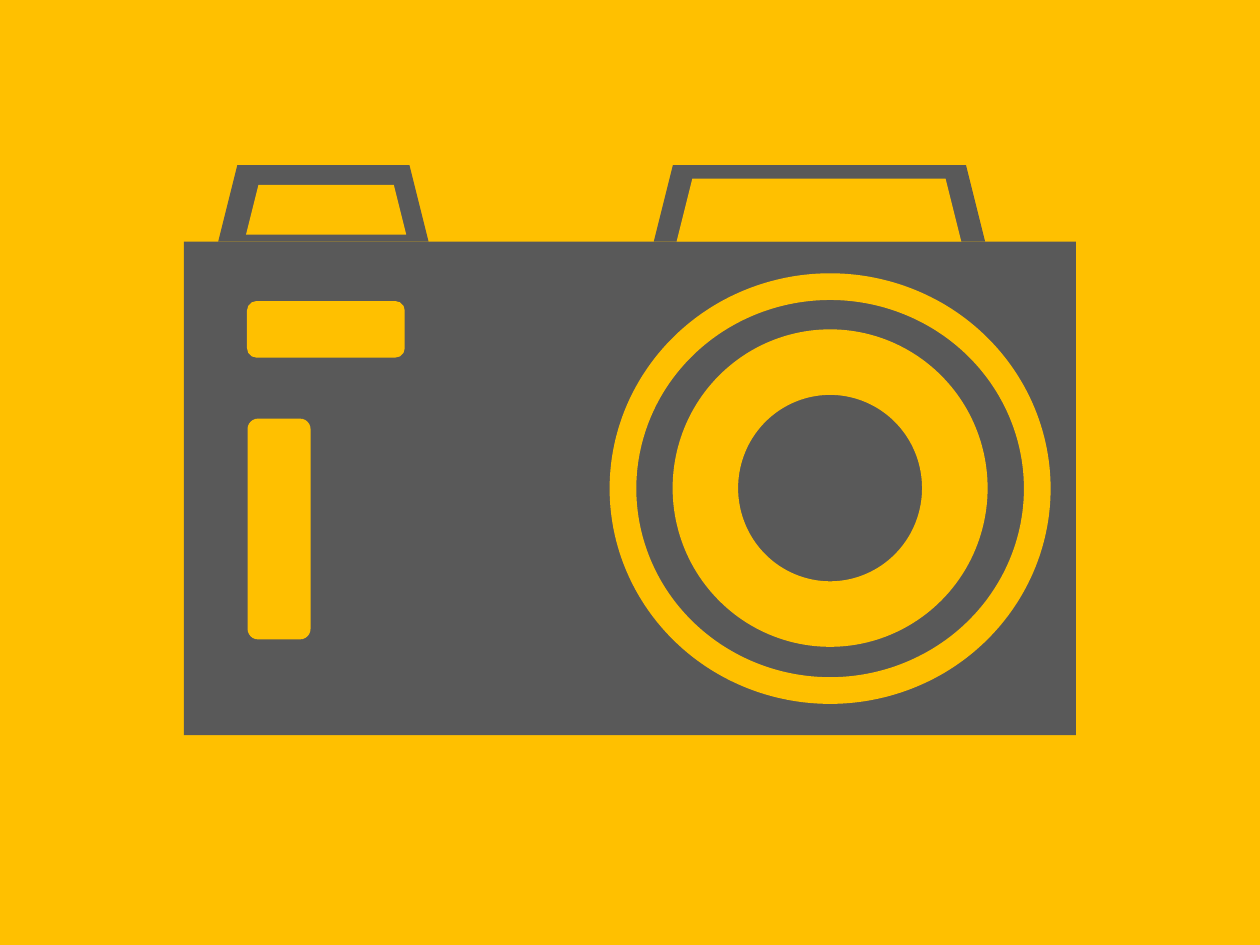
from pptx import Presentation
from pptx.dml.color import RGBColor
from pptx.enum.shapes import MSO_SHAPE
from pptx.util import Cm

COLORS = {"yellow": "FFC000", "gray": "595959"}


class CameraSlide:
    """Holds the colours, the slide and the group of camera pieces."""

    def __init__(self, presentation):
        self.slide = presentation.slides.add_slide(presentation.slide_layouts[6])
        self.paint(self.slide.background.fill, "yellow")
        self.camera = self.slide.shapes.add_group_shape()

    def paint(self, fill, color):
        fill.solid()
        fill.fore_color.rgb = RGBColor.from_string(COLORS[color])

    def add_piece(self, kind, box, color):
        """Add a flat shape; box is left, top, width, height in cm."""
        piece = self.camera.shapes.add_shape(kind, *(Cm(length) for length in box))
        piece.shadow.inherit = False
        piece.line.fill.background()
        self.paint(piece.fill, color)
        return piece

    def add_body(self, box):
        self.add_piece(MSO_SHAPE.RECTANGLE, box, "gray")

    def add_ring(self, box, thickness):
        """Add a lens ring; thickness is a share of its shorter side."""
        ring = self.add_piece(MSO_SHAPE.DONUT, box, "yellow")
        ring.adjustments[0] = thickness

    def add_window(self, box, rotation=0):
        window = self.add_piece(MSO_SHAPE.FLOWCHART_ALTERNATE_PROCESS, box, "yellow")
        window.rotation = rotation

    def add_hump(self, outer_box, inner_box):
        """Add a trapezoid frame on top of the body."""
        for box, color in ((outer_box, "gray"), (inner_box, "yellow")):
            self.add_piece(MSO_SHAPE.TRAPEZOID, box, color)


def main():
    presentation = Presentation()
    presentation.slide_width = Cm(25.4)
    presentation.slide_height = Cm(19.05)

    slide = CameraSlide(presentation)
    slide.add_body((3.71, 4.87, 17.98, 9.95))
    slide.add_ring((12.29, 5.51, 8.89, 8.68), thickness=0.062)
    slide.add_ring((13.56, 6.64, 6.35, 6.4), thickness=0.208)
    slide.add_window((4.98, 6.07, 3.18, 1.14))
    slide.add_window((3.4, 10.03, 4.45, 1.27), rotation=90)
    slide.add_hump((13.18, 3.33, 6.68, 1.54), (13.64, 3.6, 5.74, 1.27))
    slide.add_hump((4.4, 3.33, 4.24, 1.54), (4.96, 3.73, 3.23, 1))

    presentation.save("out.pptx")


if __name__ == "__main__":
    main()
